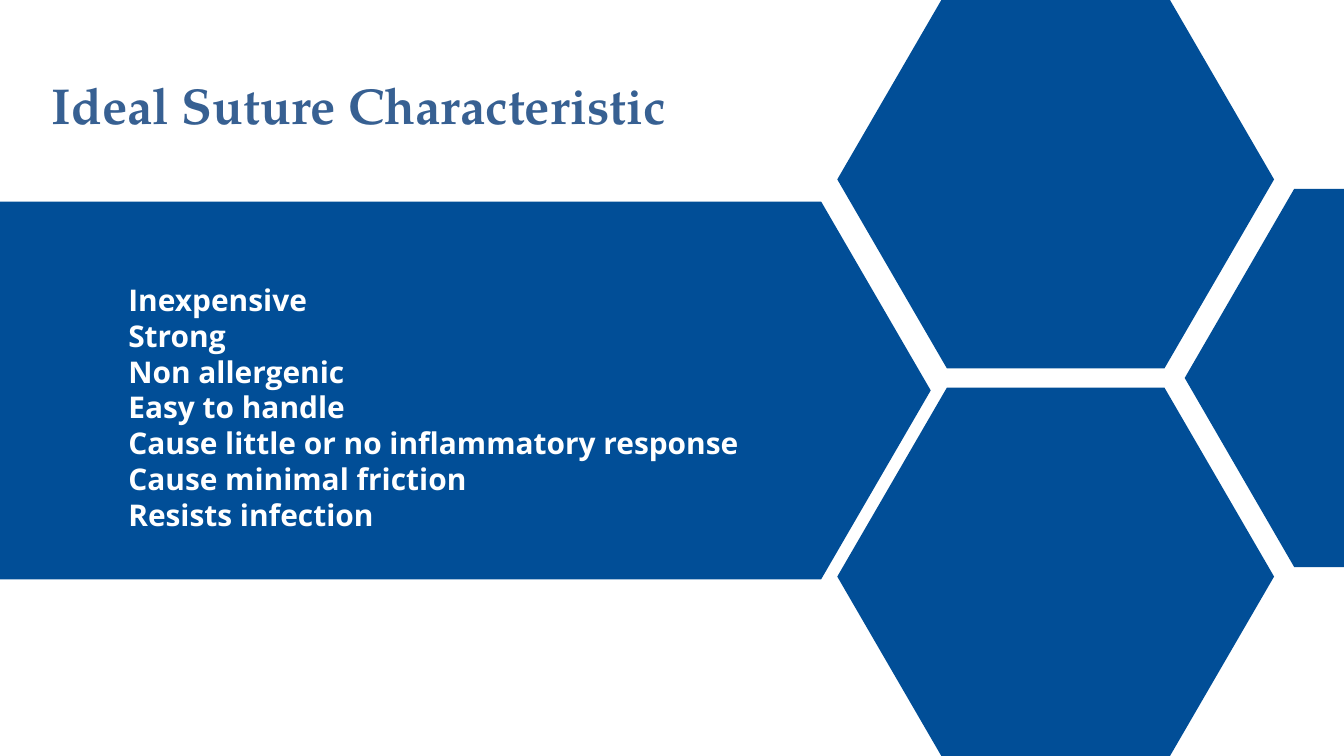
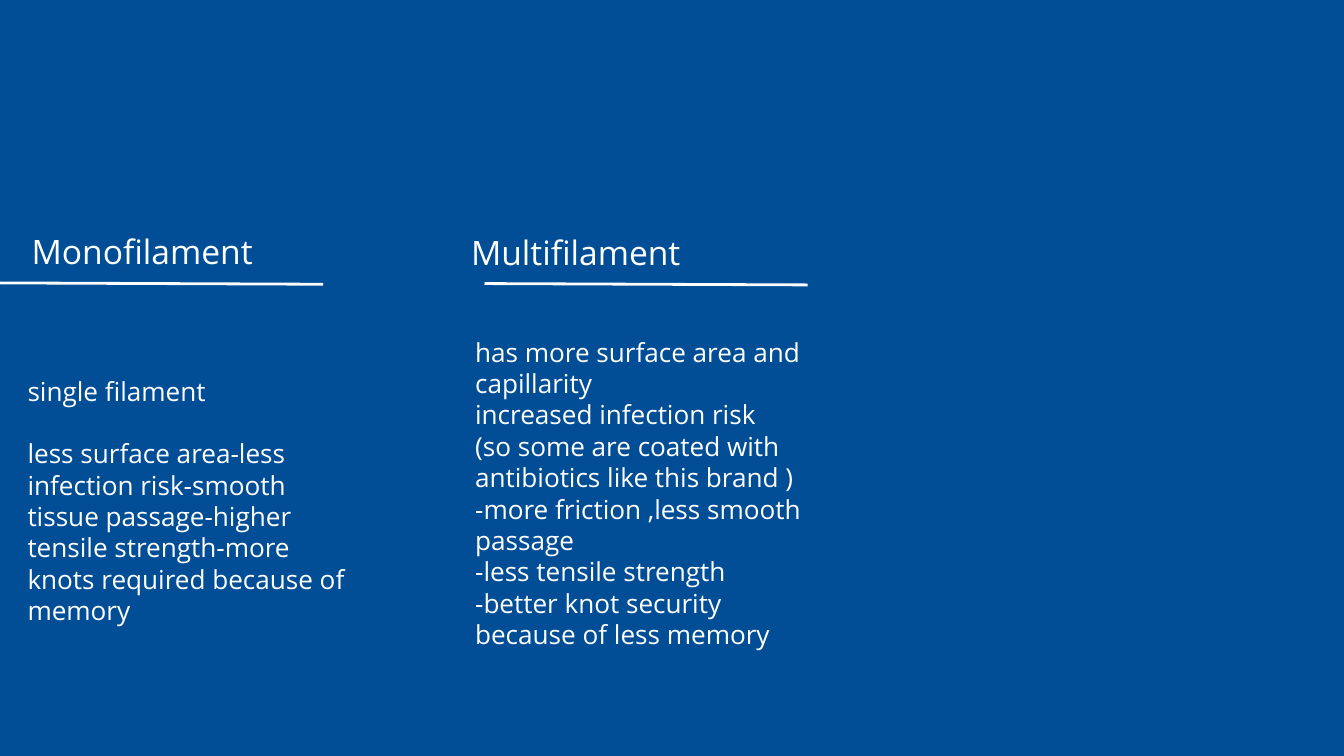
"""Build two slides on suture traits and filament types."""
from dataclasses import dataclass

from lxml import etree
from pptx import Presentation
from pptx.dml.color import RGBColor
from pptx.enum.shapes import MSO_CONNECTOR, MSO_SHAPE
from pptx.enum.text import MSO_ANCHOR
from pptx.oxml.ns import qn
from pptx.slide import Slide
from pptx.util import Pt

STRAIGHT = MSO_CONNECTOR.STRAIGHT
RECT = MSO_SHAPE.RECTANGLE
TOP = MSO_ANCHOR.TOP

COLORS = {"blue": "014E97", "title": "376092", "white": "FFFFFF"}
WIDE, HIGH = 1440, 810
SLANT = 117.36
SERIF, SANS = "TeX Gyre Pagella", "Open Sans"


@dataclass
class Panel:
    left: float
    top: float
    width: float
    height: float
    slant: float = SLANT


@dataclass
class Column:
    head: str
    head_at: tuple[float, float, float, float]
    body: list[str]
    body_at: tuple[float, float, float, float]
    rule: tuple[float, float]
    gap: float = 0


PANELS = [
    Panel(897.12, -10.08, 468, 404.64),
    Panel(897.12, 415.44, 468, 404.64),
    Panel(1269.36, 202.32, 477.36, 405.36),
    Panel(-38.16, 216, 1035.36, 404.64, slant=0),
]

TRAITS = [
    "Inexpensive",
    "Strong",
    "Non allergenic",
    "Easy to handle",
    "Cause little or no inflammatory response",
    "Cause minimal friction",
    "Resists infection",
]

COLUMNS = [
    Column(
        "Monofilament", (33.84, 247.68, 346.32, 43.92),
        [
            "single filament",
            "less surface area-less infection risk-smooth tissue passage-higher "
            "tensile strength-more knots required because of memory",
        ],
        (29.52, 401.76, 356.4, 305.28), (0, 303.12), gap=33.6,
    ),
    Column(
        "Multifilament", (504.72, 248.4, 361.44, 43.92),
        [
            "has more surface area and capillarity",
            "increased infection risk",
            "(so some are coated with antibiotics like this brand )",
            "-more friction ,less smooth passage",
            "-less tensile strength",
            "-better knot security because of less memory",
        ],
        (509.04, 360, 361.44, 339.12), (519.12, 303.84),
    ),
]


def shade(name: str) -> RGBColor:
    return RGBColor.from_string(COLORS[name])


def paint(shape) -> None:
    shape.shadow.inherit = False
    shape.fill.solid()
    shape.fill.fore_color.rgb = shade("blue")
    shape.line.fill.background()


def write(slide: Slide, lines: list[str], at: tuple, *, size: float, font: str = SANS,
          color: str = "white", bold: bool = False, pitch: float | None = None,
          gap: float = 0) -> None:
    frame = slide.shapes.add_textbox(*map(Pt, at)).text_frame
    frame.word_wrap = True
    frame.vertical_anchor = TOP
    frame.margin_left = frame.margin_right = frame.margin_top = frame.margin_bottom = 0
    for i, line in enumerate(lines):
        para = frame.add_paragraph() if i else frame.paragraphs[0]
        para.line_spacing = pitch
        para.space_before = Pt(gap if i else 0)
        run = para.add_run()
        run.text = line
        run.font.name = font
        run.font.size = Pt(size)
        run.font.bold = bold
        run.font.color.rgb = shade(color)


def draw_panel(slide: Slide, panel: Panel) -> None:
    left, top = panel.left, panel.top
    right, base = left + panel.width, top + panel.height
    mid = top + panel.height / 2
    points = [(left + panel.slant, top), (right - SLANT, top), (right, mid),
              (right - SLANT, base), (left + panel.slant, base), (left, mid)]
    (x, y), *rest = [(Pt(a), Pt(b)) for a, b in points]
    outline = slide.shapes.build_freeform(x, y)
    outline.add_line_segments(rest)
    paint(outline.convert_to_shape())


def draw_rule(slide: Slide, x: float, y: float) -> None:
    rule = slide.shapes.add_connector(STRAIGHT, Pt(x), Pt(y), Pt(x + 346.32), Pt(y + 1.44))
    rule.line.color.rgb = shade("white")
    rule.line.width = Pt(3)
    etree.SubElement(rule._element.spPr, qn("a:effectLst"))


def draw_column(slide: Slide, column: Column) -> None:
    write(slide, [column.head], column.head_at, size=36)
    write(slide, column.body, column.body_at, size=28, gap=column.gap)
    draw_rule(slide, *column.rule)


def main() -> None:
    deck = Presentation()
    deck.slide_width, deck.slide_height = Pt(WIDE), Pt(HIGH)
    blank = deck.slide_layouts[6]

    ideal = deck.slides.add_slide(blank)
    for panel in PANELS:
        draw_panel(ideal, panel)
    write(ideal, ["Ideal Suture Characteristic"], (55.44, 66.96, 897.12, 156.96),
          size=54, font=SERIF, color="title", bold=True, pitch=1.2)
    write(ideal, TRAITS, (137.52, 301.68, 679.68, 271.44), size=32, bold=True)

    types = deck.slides.add_slide(blank)
    paint(types.shapes.add_shape(RECT, 0, 0, Pt(WIDE), Pt(836.64)))
    for column in COLUMNS:
        draw_column(types, column)

    deck.save("out.pptx")


if __name__ == "__main__":
    main()
